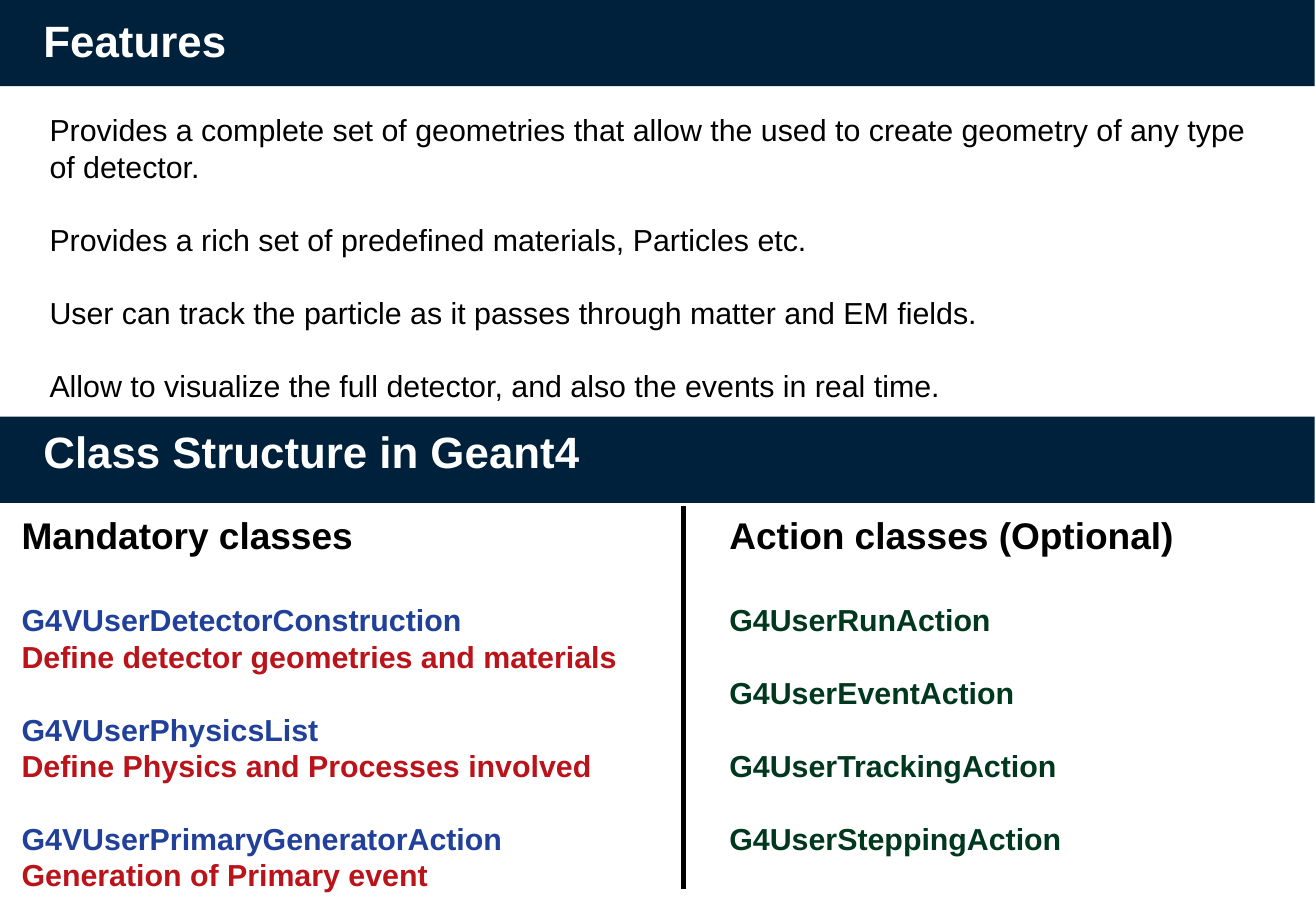
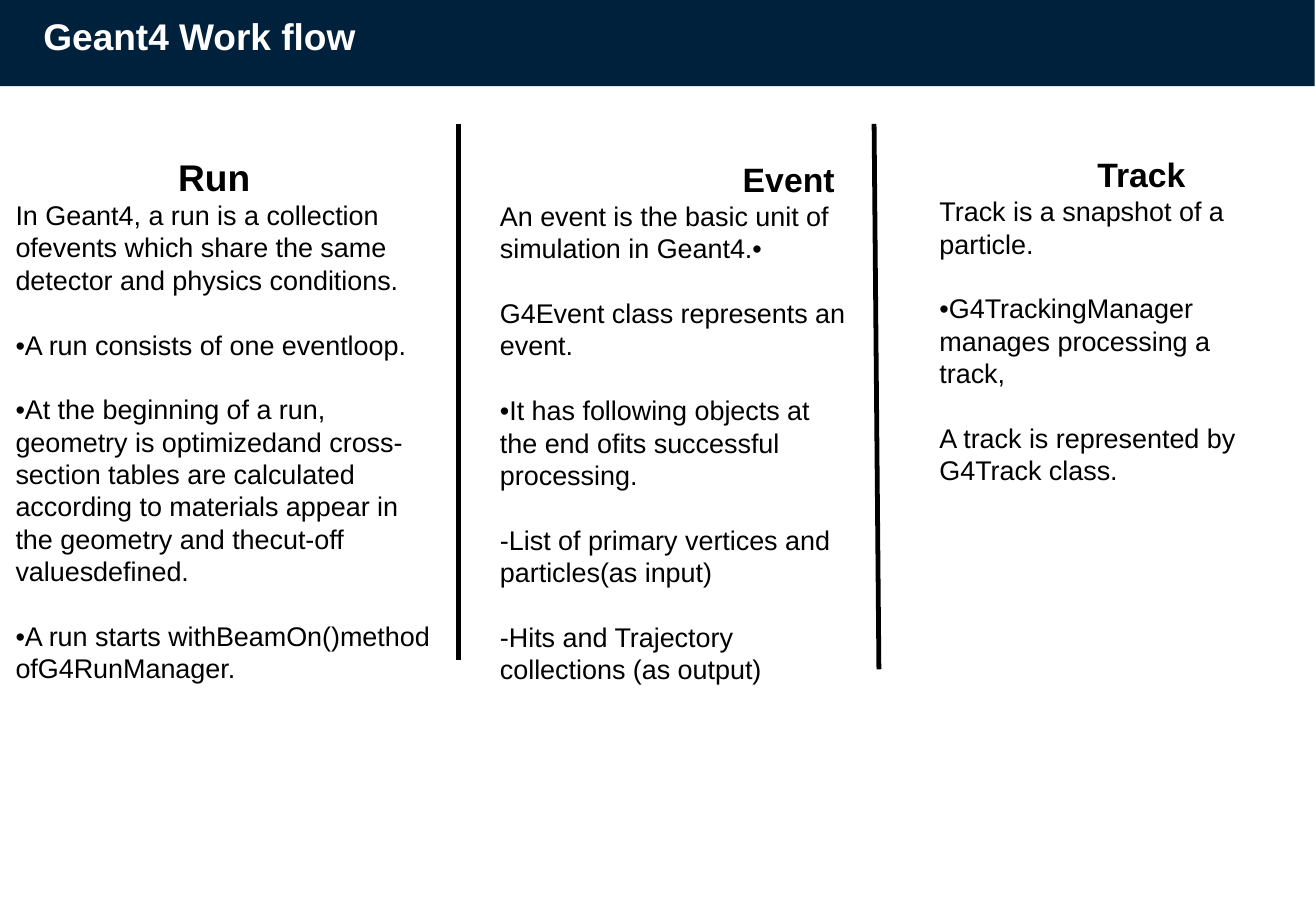
import pptx
import pptx.dml.color
import pptx.enum.shapes
import pptx.util
from lxml import etree
from dataclasses import dataclass

Inches = pptx.util.Inches
Pt = pptx.util.Pt


@dataclass(frozen=True)
class Theme:
    font: str = "Arial"
    navy: str = "00213B"
    white: str = "FFFFFF"
    black: str = "000000"
    blue: str = "21409A"
    red: str = "BA131A"
    green: str = "00381F"
    title: int = 26
    heading: int = 22
    subheading: int = 20
    body: int = 18
    column: int = 16
    rule: float = 2.83
    line_height: float = 1.2


THEME = Theme()
WIDTH, HEIGHT = 10.84, 7.5
BAND_WIDTH, BAND_HEIGHT = 10.83, 0.71
TITLE_LEFT, TITLE_HEIGHT = 0.26, 0.49

FEATURES = [
    "Provides a complete set of geometries that allow the used to create geometry of any type of detector.",
    "Provides a rich set of predefined materials, Particles etc.",
    "User can track the particle as it passes through matter and EM fields.",
    "Allow to visualize the full detector, and also the events in real time.",
]
MANDATORY = [
    ("G4VUserDetectorConstruction", "Define detector geometries and materials"),
    ("G4VUserPhysicsList", "Define Physics and Processes involved"),
    ("G4VUserPrimaryGeneratorAction", "Generation of Primary event"),
]
ACTIONS = ["G4UserRunAction", "G4UserEventAction", "G4UserTrackingAction", "G4UserSteppingAction"]
WORKFLOW = [
    ("Run", THEME.heading, 1.34, (0.03, 1.22, 3.66, 4.04), [
        "In Geant4, a run is a collection ofevents which share the same detector and physics conditions.",
        "•A run consists of one eventloop.",
        "•At the beginning of a run, geometry is optimizedand cross-section tables are calculated "
        "according to materials appear in the geometry and thecut-off valuesdefined.",
        "•A run starts withBeamOn()method ofG4RunManager.",
    ]),
    ("Event", THEME.subheading, 2, (4.02, 1.26, 3.07, 3.74), [
        "An event is the basic unit of simulation in Geant4.•",
        "G4Event class represents an event.",
        "•It has following objects at the end ofits successful processing.",
        "-List of primary vertices and particles(as input)",
        "-Hits and Trajectory collections (as output)",
    ]),
    ("Track", THEME.subheading, 1.3, (7.64, 1.22, 2.99, 2.52), [
        "Track is a snapshot of a particle.",
        "•G4TrackingManager manages processing a track,",
        "A track is represented by G4Track class.",
    ]),
]
WORKFLOW_RULES = [(3.78, 1.02, 3.78, 5.43), (7.2, 1.02, 7.24, 5.51)]


@dataclass
class Line:
    text: str
    size: int
    color: str = THEME.black
    bold: bool = False
    gap: bool = False
    indent: float = 0


def rgb(color):
    return pptx.dml.color.RGBColor.from_string(color)


def add_text(page, area, lines):
    frame = page.shapes.add_textbox(*map(Inches, area)).text_frame
    frame.word_wrap = True
    for index, line in enumerate(lines):
        para = frame.paragraphs[0] if index == 0 else frame.add_paragraph()
        para.text = line.text
        para.font.name = THEME.font
        para.font.size = Pt(line.size)
        para.font.bold = line.bold
        para.font.color.rgb = rgb(line.color)
        if line.gap:
            para.space_after = Pt(line.size * THEME.line_height)
        if line.indent:
            para._p.get_or_add_pPr().set("marL", str(Inches(line.indent)))


def add_band(page, title, band_top, title_top, title_width, size):
    band = page.shapes.add_shape(
        pptx.enum.shapes.MSO_SHAPE.RECTANGLE,
        0, Inches(band_top), Inches(BAND_WIDTH), Inches(BAND_HEIGHT))
    band.shadow.inherit = False
    band.fill.solid()
    band.fill.fore_color.rgb = rgb(THEME.navy)
    band.line.fill.background()
    add_text(page, (TITLE_LEFT, title_top, title_width, TITLE_HEIGHT),
             [Line(title, size, THEME.white, True)])


def add_rule(page, ends):
    rule = page.shapes.add_connector(
        pptx.enum.shapes.MSO_CONNECTOR.STRAIGHT, *map(Inches, ends))
    rule.line.color.rgb = rgb(THEME.black)
    rule.line.width = Pt(THEME.rule)
    etree.SubElement(rule._element.spPr, pptx.oxml.ns.qn("a:effectLst"))


def spaced(texts, size, color=THEME.black, bold=False):
    last = len(texts) - 1
    return [Line(text, size, color, bold, index < last) for index, text in enumerate(texts)]


def class_heading(text):
    return Line(text, THEME.heading, bold=True, gap=True)


def build_features(page):
    add_band(page, "Features", 0, 0.06, 5.1, THEME.title)
    add_text(page, (0.31, 0.87, 10.16, 2.36), spaced(FEATURES, THEME.body))
    add_band(page, "Class Structure in Geant4", 3.43, 3.45, 5.1, THEME.title)
    mandatory = [class_heading("Mandatory classes")]
    purposes = spaced([purpose for _, purpose in MANDATORY], THEME.body, THEME.red, True)
    for (name, _), purpose in zip(MANDATORY, purposes):
        mandatory += [Line(name, THEME.body, THEME.blue, True), purpose]
    add_text(page, (0.08, 4.17, 5.27, 2.96), mandatory)
    actions = spaced(ACTIONS, THEME.body, THEME.green, True)
    add_text(page, (5.91, 4.17, 4.41, 3.3), [class_heading("Action classes (Optional)")] + actions)
    add_rule(page, (5.63, 4.17, 5.63, 7.32))


def build_workflow(page):
    add_band(page, "Geant4 Work flow", 0, 0.06, 9.73, THEME.heading)
    for heading, size, indent, area, texts in WORKFLOW:
        add_text(page, area, [Line(heading, size, bold=True, indent=indent)] + spaced(texts, THEME.column))
    for ends in WORKFLOW_RULES:
        add_rule(page, ends)


deck = pptx.Presentation()
deck.slide_width = Inches(WIDTH)
deck.slide_height = Inches(HEIGHT)
for build in (build_features, build_workflow):
    build(deck.slides.add_slide(deck.slide_layouts[6]))
deck.save("out.pptx")
